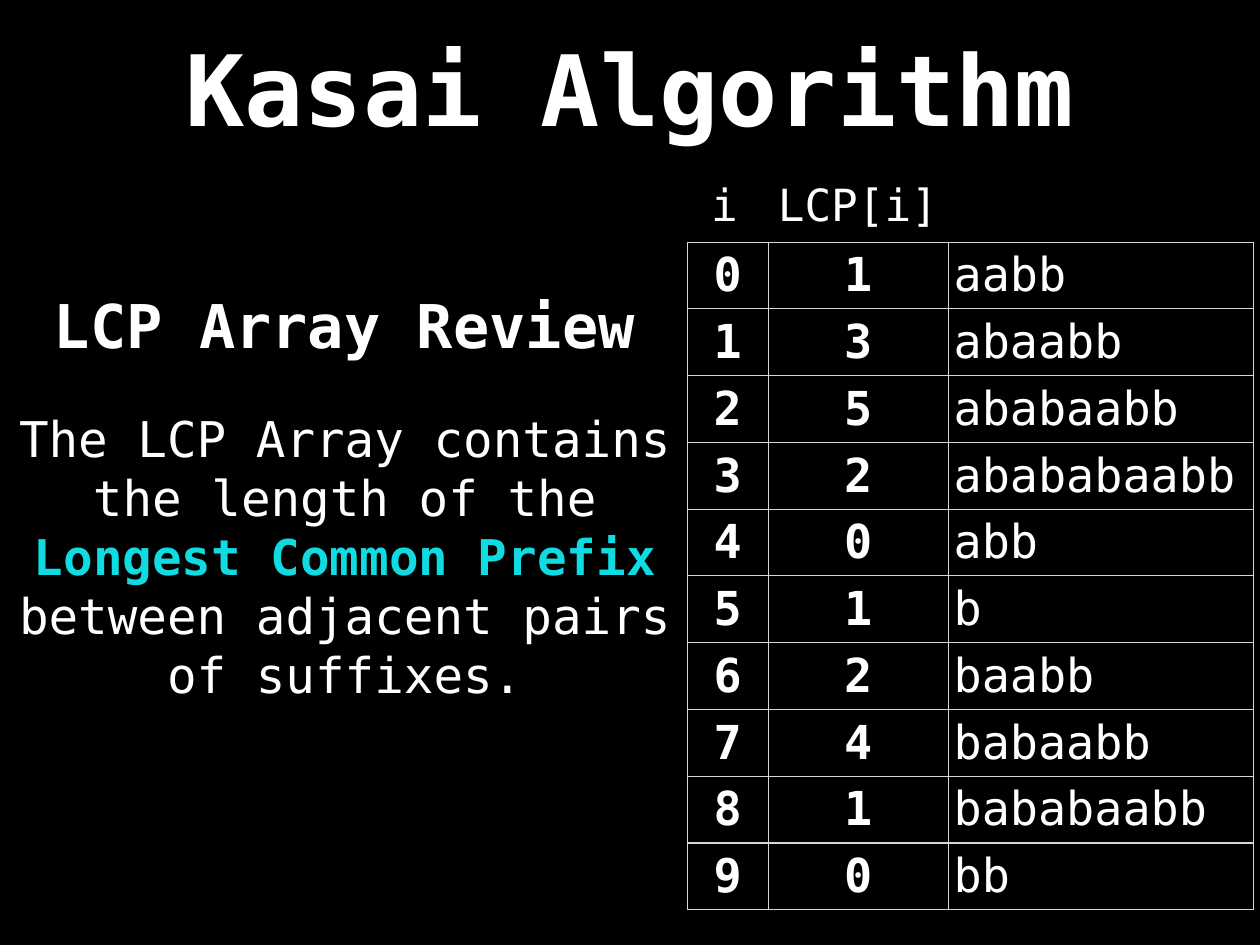
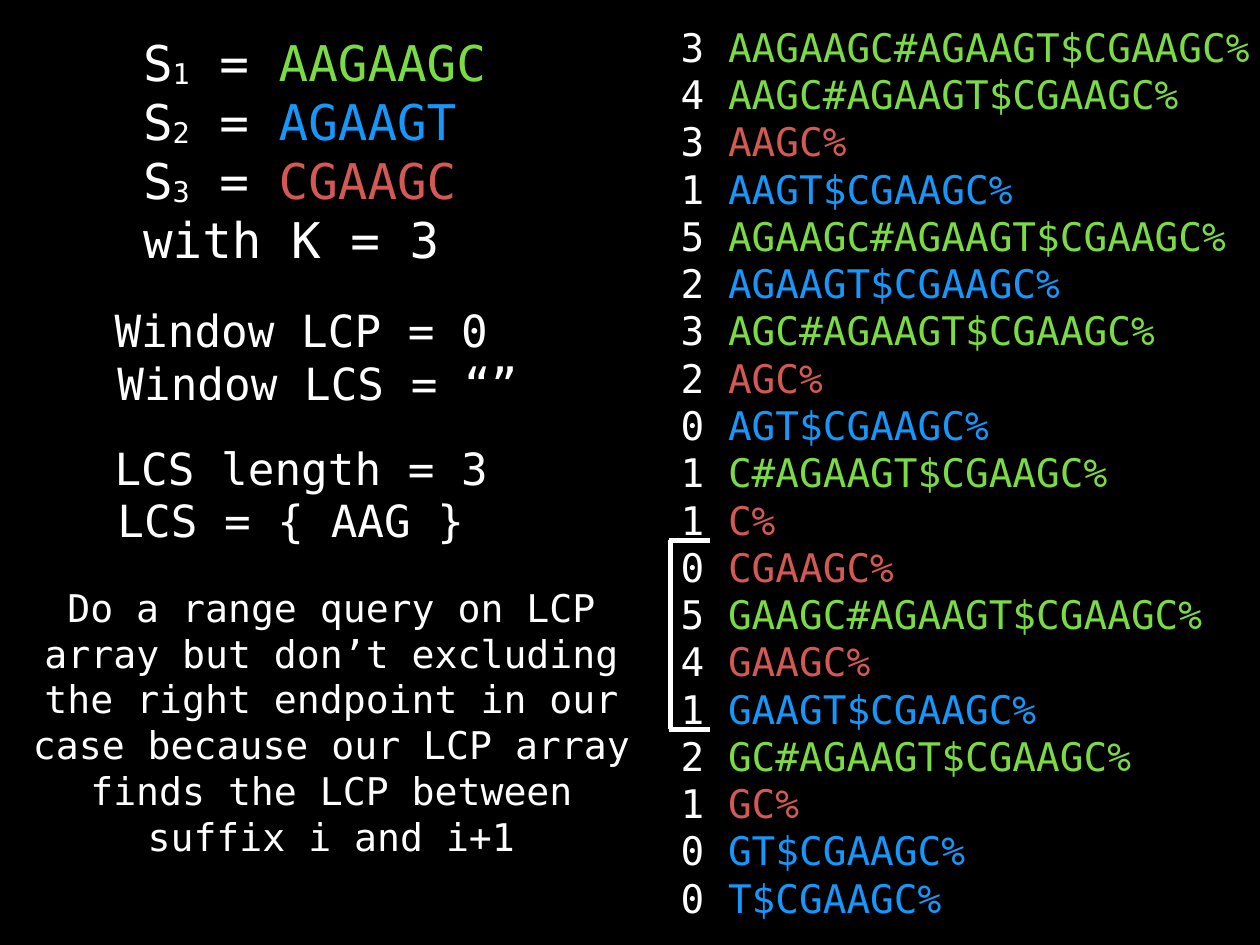
import pptx
import pptx.dml.color
import pptx.enum.shapes
import pptx.enum.text
import pptx.oxml.ns
import pptx.util
from lxml import etree

COLORS = {
    "background": "000000",
    "text": "FFFFFF",
    "accent": "11DBE2",
    "border": "D6D7D6",
    "green": "7BDB45",
    "blue": "1597FC",
    "red": "D45854",
}
FONT = "DejaVu Sans Mono"
COLUMNS, ROWS, UNIT = 64, 48, 16
INSET = pptx.util.Inches(0.06)
LEFT = pptx.enum.text.PP_ALIGN.LEFT
CENTER = pptx.enum.text.PP_ALIGN.CENTER
MIDDLE = pptx.enum.text.MSO_ANCHOR.MIDDLE


def grid(count):
    return pptx.util.Pt(count * UNIT)


def color(name):
    return pptx.dml.color.RGBColor.from_string(COLORS[name])


def suffix_color(suffix):
    if "#" in suffix:
        return "green"
    return "blue" if "$" in suffix else "red"


class Deck:
    def __init__(self):
        self.presentation = pptx.Presentation()
        self.presentation.slide_width = grid(COLUMNS)
        self.presentation.slide_height = grid(ROWS)
        self.slide = None

    def add_slide(self):
        self.slide = self.presentation.slides.add_slide(self.presentation.slide_layouts[6])
        fill = self.slide.background.fill
        fill.solid()
        fill.fore_color.rgb = color("background")

    def style_run(self, run, size, name="text", bold=False, subscript=False):
        run.font.name = FONT
        run.font.size = pptx.util.Pt(size)
        run.font.bold = bold
        run.font.color.rgb = color(name)
        if subscript:
            run.font._element.set("baseline", "-6000")

    def text(self, box, lines, size, align=LEFT, wrap=False):
        shape = self.slide.shapes.add_textbox(*map(grid, box))
        frame = shape.text_frame
        frame.word_wrap = wrap
        frame.auto_size = pptx.enum.text.MSO_AUTO_SIZE.SHAPE_TO_FIT_TEXT
        frame.vertical_anchor = MIDDLE
        frame.margin_left = frame.margin_right = INSET
        frame.margin_top = frame.margin_bottom = INSET
        for index, segments in enumerate(lines):
            paragraph = frame.add_paragraph() if index else frame.paragraphs[0]
            paragraph.alignment = align
            for content, style in segments:
                run = paragraph.add_run()
                run.text = content
                self.style_run(run, size, **style)

    def label(self, box, content, size, align=LEFT, wrap=False, bold=False):
        self.text(box, [[(content, {"bold": bold})]], size, align, wrap)

    def title(self, content):
        self.label((4.7, 1.25, 54.6, 6.36), content, 80, CENTER, True, True)

    def line(self, start, end, width):
        connector = self.slide.shapes.add_connector(
            pptx.enum.shapes.MSO_CONNECTOR.STRAIGHT, *map(grid, start + end))
        connector.line.color.rgb = color("text")
        connector.line.width = pptx.util.Pt(width)
        properties = connector._element.spPr
        etree.SubElement(properties, pptx.oxml.ns.qn("a:effectLst"))

    def border(self, cell):
        properties = cell._tc.get_or_add_tcPr()
        for side in ("a:lnL", "a:lnR", "a:lnT", "a:lnB"):
            edge = etree.SubElement(properties, pptx.oxml.ns.qn(side), w="12700")
            fill = etree.SubElement(edge, pptx.oxml.ns.qn("a:solidFill"))
            etree.SubElement(fill, pptx.oxml.ns.qn("a:srgbClr"), val=COLORS["border"])

    def table(self, left, top, widths, height, records, size):
        box = (left, top, sum(widths), height * len(records))
        frame = self.slide.shapes.add_table(len(records), len(widths), *map(grid, box))
        table = frame.table
        table.first_row = table.horz_banding = False
        for column, width in zip(table.columns, widths):
            column.width = grid(width)
        for row, record in zip(table.rows, records):
            row.height = grid(height)
            for index, (cell, value) in enumerate(zip(row.cells, record)):
                numeric = index < 2
                self.border(cell)
                cell.fill.background()
                cell.vertical_anchor = MIDDLE
                cell.margin_left = cell.margin_right = INSET
                cell.margin_top = cell.margin_bottom = INSET
                paragraph = cell.text_frame.paragraphs[0]
                paragraph.text = str(value)
                paragraph.alignment = CENTER if numeric else LEFT
                self.style_run(paragraph.runs[0], size, bold=numeric)


def review_slide(deck):
    deck.add_slide()
    deck.title("Kasai Algorithm")
    deck.label((2.45, 14.45, 30.05, 4.05), "LCP Array Review", 49, CENTER, bold=True)
    deck.text((0.63, 20.8, 33.75, 14.9), [[
        ("The LCP Array contains the length of the ", {}),
        ("Longest Common Prefix ", {"name": "accent", "bold": True}),
        ("between adjacent pairs of suffixes.", {}),
    ]], 40, CENTER, True)
    lengths = (1, 3, 5, 2, 0, 1, 2, 4, 1, 0)
    suffixes = ("aabb", "abaabb", "ababaabb", "abababaabb", "abb",
                "b", "baabb", "babaabb", "bababaabb", "bb")
    records = list(zip(range(len(lengths)), lengths, suffixes))
    deck.table(34.9, 12.3, (4.12, 9.15, 15.48), 3.37, records, 38)
    deck.label((39.2, 8.82, 8.75, 3.05), "LCP[i]", 36, CENTER)
    deck.label((35.82, 8.82, 1.95, 3.05), "i", 36, CENTER)


def window_slide(deck):
    deck.add_slide()
    lengths = (3, 4, 3, 1, 5, 2, 3, 2, 0, 1, 1, 0, 5, 4, 1, 2, 1, 0, 0)
    suffixes = (
        "AAGAAGC#AGAAGT$CGAAGC%", "AAGC#AGAAGT$CGAAGC%", "AAGC%", "AAGT$CGAAGC%",
        "AGAAGC#AGAAGT$CGAAGC%", "AGAAGT$CGAAGC%", "AGC#AGAAGT$CGAAGC%", "AGC%",
        "AGT$CGAAGC%", "C#AGAAGT$CGAAGC%", "C%", "CGAAGC%", "GAAGC#AGAAGT$CGAAGC%",
        "GAAGC%", "GAAGT$CGAAGC%", "GC#AGAAGT$CGAAGC%", "GC%", "GT$CGAAGC%",
        "T$CGAAGC%",
    )
    deck.text((34.3, 1.15, 29.7, 45.65), [
        [(f"{length} ", {}), (suffix, {"name": suffix_color(suffix)})]
        for length, suffix in zip(lengths, suffixes)
    ], 32)

    strings = (("AAGAAGC", "green"), ("AGAAGT", "blue"), ("CGAAGC", "red"))
    lines = [
        [("S", {}), (str(number), {"subscript": True}), (" = ", {}), (string, {"name": name})]
        for number, (string, name) in enumerate(strings, 1)
    ]
    deck.text((7, 1.63, 20, 12), lines + [[("with K = 3", {})]], 40)

    top, bottom = 27.45, 37.05
    deck.line((34.07, bottom), (34.07, top), 4)
    for height in (top, bottom):
        deck.line((36.05, height), (33.97, height), 4)

    for left, row, content in (
        (5.7, 24.9, "LCS = { AAG }"),
        (5.55, 22.25, "LCS length = 3"),
        (5.7, 17.9, "Window LCS = “”"),
        (5.55, 15.25, "Window LCP = 0"),
    ):
        deck.label((left, row, 22, 3.05), content, 36)
    deck.label(
        (0.27, 29.65, 33.1, 14),
        "Do a range query on LCP array but don’t excluding the right endpoint in our case "
        "because our LCP array finds the LCP between suffix i and i+1",
        31, CENTER, True)


def main():
    deck = Deck()
    review_slide(deck)
    window_slide(deck)
    deck.presentation.save("out.pptx")


if __name__ == "__main__":
    main()
